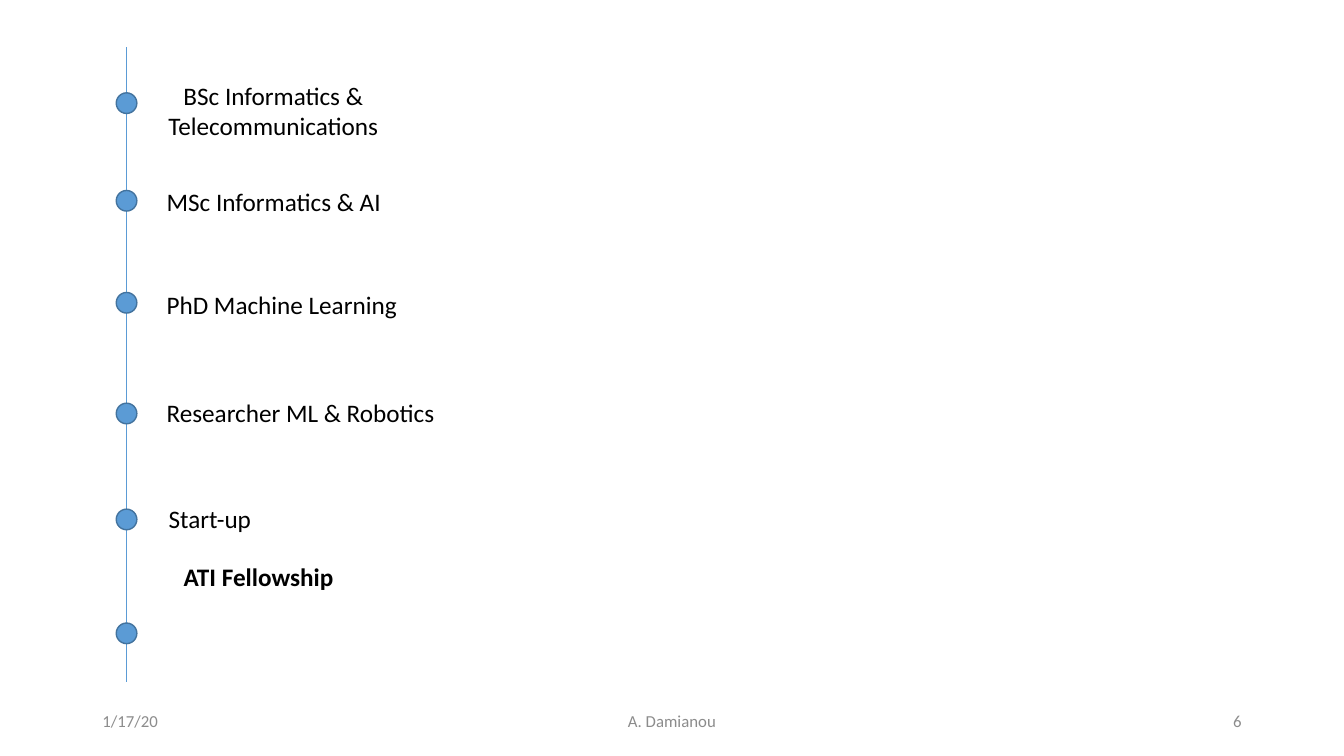
from lxml import etree
from pptx import Presentation
from pptx.dml.color import RGBColor as Rgb
from pptx.enum.shapes import MSO_CONNECTOR as Link, MSO_SHAPE as Kind
from pptx.enum.text import MSO_ANCHOR as Anchor, MSO_AUTO_SIZE as Fit, PP_ALIGN as Align
from pptx.oxml.ns import qn
from pptx.util import Cm, Pt

FONT = "Calibri"
COLORS = {"text": "000000", "muted": "8C8C8C", "blue": "5B9BD5", "edge": "43739E"}

# Tops of the dots below the top of the axis
DOTS = [1.15, 3.61, 6.18, 8.97, 11.64, 14.51]

# Lines, offset from the axis top, width and height, alignment, bold
STEPS = [
    (["BSc Informatics & ", "Telecommunications "], 0.76, 0.71, 6.02, 1.8, Align.CENTER, False),
    (["MSc Informatics & AI"], 0.76, 3.38, 5.97, 1.02, Align.LEFT, False),
    (["PhD Machine Learning"], 0.76, 5.97, 6.4, 1.02, Align.LEFT, False),
    (["Researcher ML & Robotics"], 0.76, 8.69, 7.34, 1.02, Align.LEFT, False),
    (["Start-up"], 0.81, 11.38, 2.62, 1.02, Align.LEFT, False),
    (["ATI Fellowship"], 1.19, 12.83, 4.32, 1.02, Align.LEFT, True),
]


def color(name):
    return Rgb.from_string(COLORS[name])


def add_text(slide, lines, x, y, w, h, size, ink, align, bold=False):
    box = slide.shapes.add_textbox(Cm(x), Cm(y), Cm(w), Cm(h))
    frame = box.text_frame
    for i, line in enumerate(lines):
        para = frame.add_paragraph() if i else frame.paragraphs[0]
        para.alignment = align
        run = para.add_run()
        run.text = line
        font = run.font
        font.name, font.size, font.bold = FONT, Pt(size), bold
        font.color.rgb = color(ink)
    return frame


def add_axis(slide, x, y, h):
    # Vertical line
    axis = slide.shapes.add_connector(Link.STRAIGHT, Cm(x), Cm(y), Cm(x), Cm(y + h))
    axis.line.color.rgb = color("blue")
    axis.line.width = Pt(0.5)
    etree.SubElement(axis.element.spPr, qn("a:effectLst"))

    # Dots centred on the line
    size = 0.52
    for top in DOTS:
        dot = slide.shapes.add_shape(
            Kind.OVAL, Cm(x - size / 2), Cm(y + top), Cm(size), Cm(size))
        dot.shadow.inherit = False
        dot.fill.solid()
        dot.fill.fore_color.rgb = color("blue")
        dot.line.color.rgb = color("edge")
        dot.line.width = Pt(1)


def add_steps(slide, x, y):
    for lines, left, top, w, h, align, bold in STEPS:
        frame = add_text(slide, lines, x + left, y + top, w, h, 18, "text", align, bold)
        frame.word_wrap = False
        frame.auto_size = Fit.SHAPE_TO_FIT_TEXT


def add_footer(slide, x, y, w, h):
    side, mid = 7.62, 11.43
    parts = [
        ("1/17/20", 0, side, Align.LEFT),
        ("A. Damianou", (w - mid) / 2, mid, Align.CENTER),
        ("6", w - side, side, Align.RIGHT),
    ]
    for text, left, width, align in parts:
        frame = add_text(slide, [text], x + left, y, width, h, 12, "muted", align)
        frame.word_wrap = True
        frame.vertical_anchor = Anchor.MIDDLE


def main():
    deck = Presentation()
    deck.slide_width, deck.slide_height = Cm(33.87), Cm(19.05)
    slide = deck.slides.add_slide(deck.slide_layouts[6])
    add_footer(slide, 2.33, 17.65, 29.21, 1.02)
    add_axis(slide, 3.19, 1.19, 16)
    add_steps(slide, 3.19, 1.19)
    deck.save("out.pptx")


if __name__ == "__main__":
    main()
